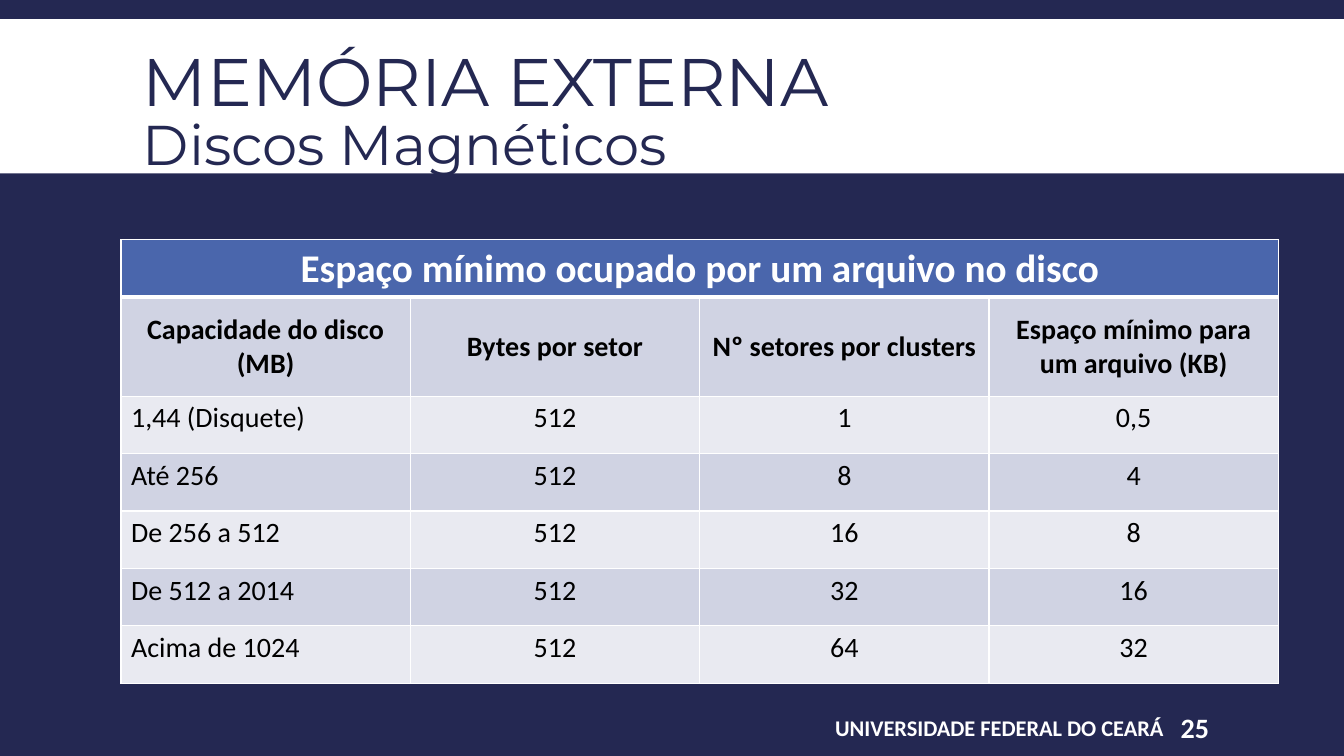
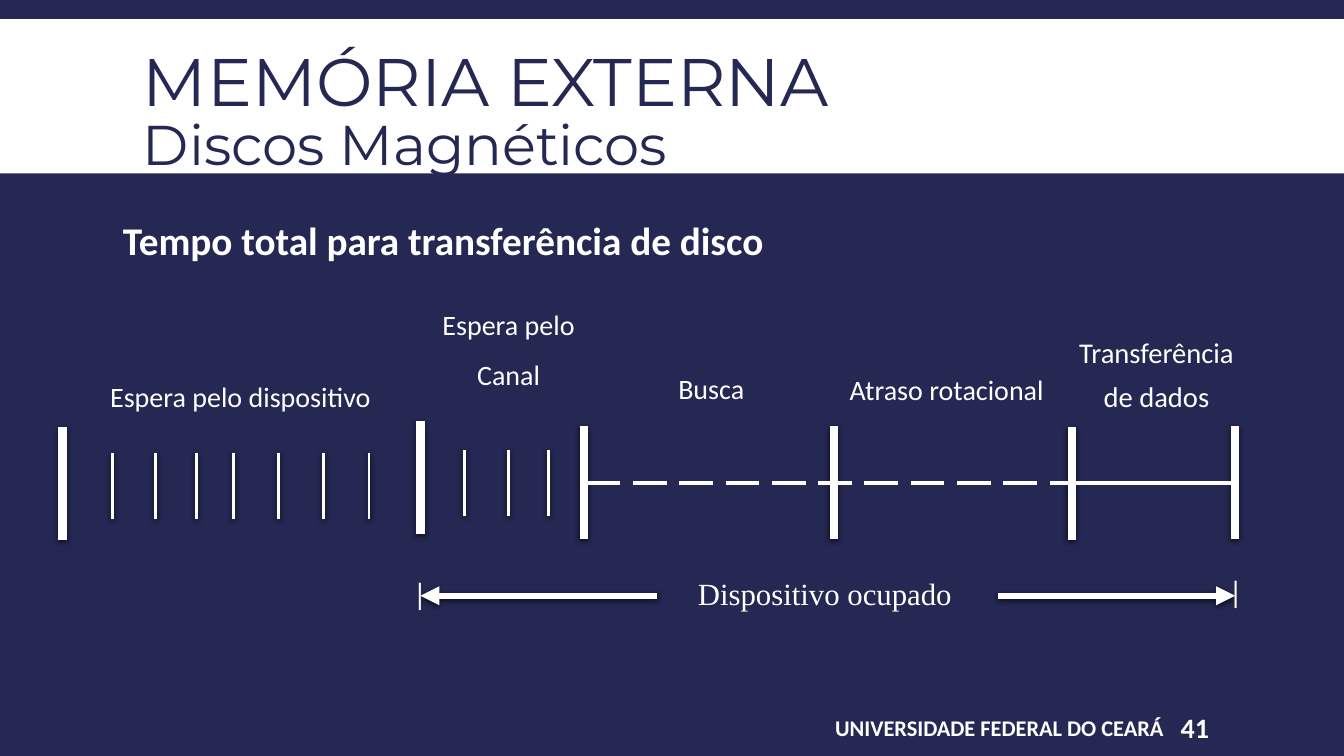
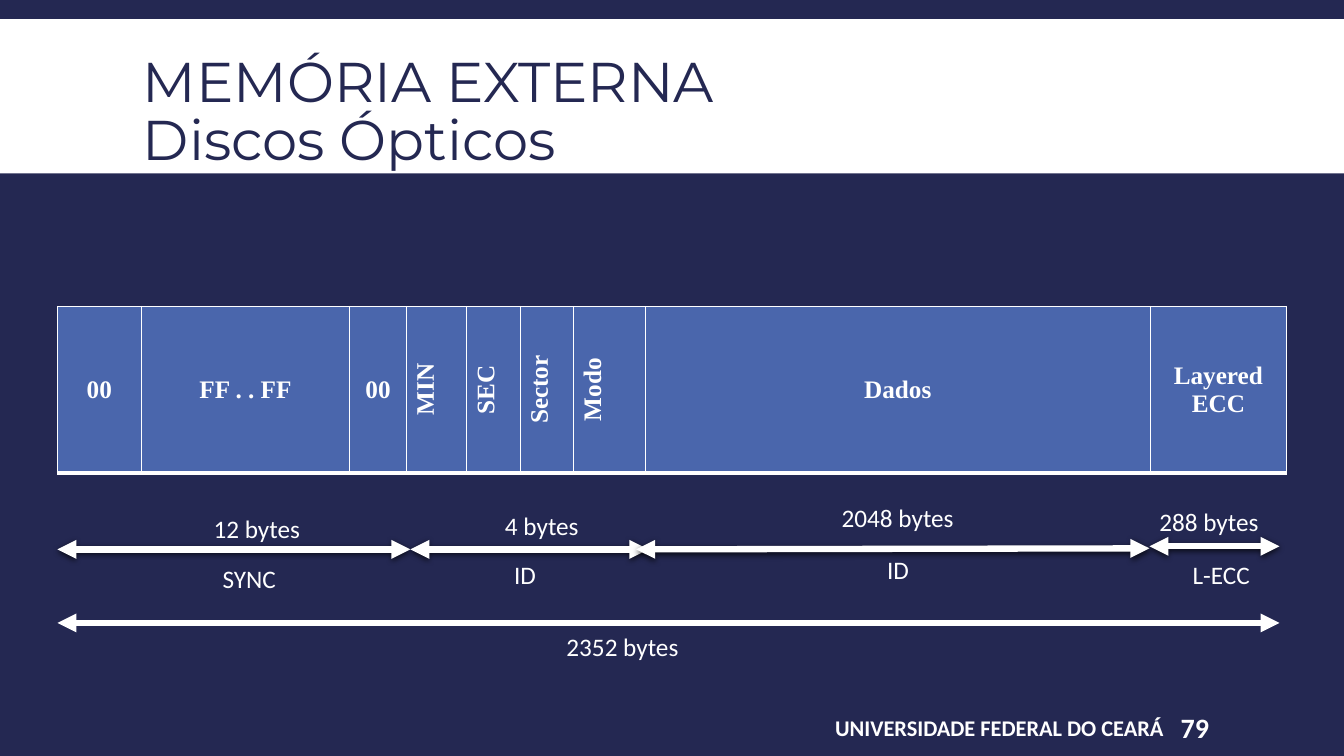
"""Build three slides on external memory: cluster sizes, disk transfer time and optical sector layout."""

from dataclasses import dataclass

import lxml.etree
import pptx
import pptx.dml.color
import pptx.enum.dml
import pptx.enum.shapes
import pptx.enum.text
import pptx.oxml
import pptx.oxml.ns
import pptx.presentation
import pptx.shapes.autoshape
import pptx.slide
import pptx.table
import pptx.text.text
import pptx.util

Inches = pptx.util.Inches
Pt = pptx.util.Pt
RGB = pptx.dml.color.RGBColor
Align = pptx.enum.text.PP_ALIGN
Anchor = pptx.enum.text.MSO_ANCHOR
qn = pptx.oxml.ns.qn


@dataclass(frozen=True)
class Theme:
    """Colours, fonts and type sizes in points."""

    navy: RGB = RGB.from_string("242852")
    white: RGB = RGB.from_string("FFFFFF")
    black: RGB = RGB.from_string("000000")
    blue: RGB = RGB.from_string("4A66AC")
    dark_row: RGB = RGB.from_string("D0D3E3")
    light_row: RGB = RGB.from_string("E9EAF1")
    body_font: str = "Calibri"
    title_font: str = "Montserrat"
    serif_font: str = "Times New Roman"
    title: float = 48
    subtitle: float = 40
    heading: float = 28
    serif_note: float = 22
    body: float = 20
    transfer: float = 20.4
    small: float = 18
    footer: float = 16


THEME = Theme()


@dataclass(frozen=True)
class Type:
    """Character and alignment settings of a paragraph."""

    size: float = THEME.body
    font: str = THEME.body_font
    color: RGB = THEME.white
    bold: bool = False
    align: Align = Align.LEFT


@dataclass(frozen=True)
class Label:
    """A text box, one paragraph per line of text."""

    text: str
    left: float
    top: float
    width: float
    height: float
    style: Type = Type()
    spacing: float = 1.0
    anchor: Anchor = Anchor.TOP
    wrap: bool = True
    inset_left: float = 0.1


@dataclass(frozen=True)
class Stroke:
    """A straight line between two points."""

    start: tuple[float, float]
    end: tuple[float, float]
    width: float
    shadow: bool = True
    dashed: bool = False
    arrows: tuple[str, ...] = ()


@dataclass(frozen=True)
class Edges:
    """Border widths of a cell in points."""

    top: float = 1
    bottom: float = 1


CENTERED = Type(align=Align.CENTER)
SMALL = Type(size=THEME.small)
SHADOW = (
    f'<a:effectLst {pptx.oxml.ns.nsdecls("a")}>'
    '<a:outerShdw blurRad="50800" dist="15240" dir="5400000" rotWithShape="0">'
    f'<a:srgbClr val="{THEME.black}"><a:alpha val="68000"/></a:srgbClr>'
    "</a:outerShdw></a:effectLst>"
)
BOTH_ENDS = ("headEnd", "tailEnd")


def set_type(paragraph: pptx.text.text._Paragraph, style: Type) -> None:
    """Apply a type style to a paragraph."""
    paragraph.alignment = style.align
    paragraph.font.size = Pt(style.size)
    paragraph.font.name = style.font
    paragraph.font.bold = style.bold
    paragraph.font.color.rgb = style.color


def add_label(slide: pptx.slide.Slide, label: Label) -> None:
    """Draw a text box."""
    frame = slide.shapes.add_textbox(
        Inches(label.left), Inches(label.top), Inches(label.width), Inches(label.height)
    ).text_frame
    frame.word_wrap = label.wrap
    if not label.wrap:
        frame.auto_size = pptx.enum.text.MSO_AUTO_SIZE.SHAPE_TO_FIT_TEXT
    frame.vertical_anchor = label.anchor
    frame.margin_left = Inches(label.inset_left)
    frame.text = label.text
    for index, paragraph in enumerate(frame.paragraphs):
        paragraph.line_spacing = label.spacing
        if index:
            paragraph.space_before = Pt(14)
        set_type(paragraph, label.style)


def add_stroke(slide: pptx.slide.Slide, stroke: Stroke) -> None:
    """Draw a line with its arrowheads and shadow."""
    connector = slide.shapes.add_connector(
        pptx.enum.shapes.MSO_CONNECTOR.STRAIGHT,
        *(Inches(value) for value in stroke.start + stroke.end),
    )
    connector.line.color.rgb = THEME.white
    connector.line.width = Pt(stroke.width)
    if stroke.dashed:
        connector.line.dash_style = pptx.enum.dml.MSO_LINE.LONG_DASH
    properties = connector._element.spPr
    outline = properties.find(qn("a:ln"))
    for arrow in stroke.arrows:
        lxml.etree.SubElement(outline, qn(f"a:{arrow}"), type="triangle")
    if stroke.shadow:
        properties.append(pptx.oxml.parse_xml(SHADOW))
    else:
        lxml.etree.SubElement(properties, qn("a:effectLst"))


def add_base(
    deck: pptx.presentation.Presentation, subtitle: str, number: int, title_size: float
) -> pptx.slide.Slide:
    """Add a slide with the title band and footer."""
    slide = deck.slides.add_slide(deck.slide_layouts[6])
    band = slide.shapes.add_shape(
        pptx.enum.shapes.MSO_SHAPE.RECTANGLE,
        0, Inches(0.19), deck.slide_width, Inches(1.53),
    )
    band.shadow.inherit = False
    band.fill.solid()
    band.fill.fore_color.rgb = THEME.white
    band.line.fill.background()

    frame = slide.shapes.add_textbox(
        Inches(1.32), Inches(0.31), Inches(10.7), Inches(1.65)
    ).text_frame
    frame.word_wrap = True
    frame.vertical_anchor = Anchor.MIDDLE
    heading = frame.paragraphs[0]
    heading.line_spacing = 0.85
    set_type(heading, Type(THEME.subtitle, THEME.title_font, THEME.navy))
    topic = heading.add_run()
    topic.text = "MEMÓRIA EXTERNA"
    topic.font.size = Pt(title_size)
    heading.add_line_break()
    subtopic = heading.add_run()
    subtopic.text = subtitle
    subtopic.font.size = Pt(THEME.subtitle)

    add_label(slide, Label(
        "UNIVERSIDADE FEDERAL DO CEARÁ", 6.12, 7.02, 5.52, 0.4,
        Type(THEME.footer, bold=True, align=Align.RIGHT), anchor=Anchor.MIDDLE,
    ))
    add_label(slide, Label(
        str(number), 11.66, 7.02, 1.03, 0.4, Type(bold=True),
        anchor=Anchor.MIDDLE, inset_left=0.05,
    ))
    return slide


def add_grid(
    slide: pptx.slide.Slide, left: float, top: float,
    columns: list[float], rows: list[float],
) -> pptx.table.Table:
    """Add an unbanded table with the given column widths and row heights."""
    table = slide.shapes.add_table(
        len(rows), len(columns), Inches(left), Inches(top),
        Inches(sum(columns)), Inches(sum(rows)),
    ).table
    table.first_row = table.horz_banding = False
    for column, width in zip(table.columns, columns):
        column.width = Inches(width)
    for row, height in zip(table.rows, rows):
        row.height = Inches(height)
    return table


def fill_cell(
    cell: pptx.table._Cell, text: str, style: Type, fill: RGB,
    edges: Edges = Edges(), anchor: Anchor = Anchor.TOP,
) -> None:
    """Write a cell with its fill and borders."""
    cell.text = text
    cell.vertical_anchor = anchor
    set_type(cell.text_frame.paragraphs[0], style)
    properties = cell._tc.get_or_add_tcPr()
    for side, width in {"L": 1, "R": 1, "T": edges.top, "B": edges.bottom}.items():
        border = lxml.etree.SubElement(properties, qn(f"a:ln{side}"), w=str(Pt(width)))
        solid = lxml.etree.SubElement(border, qn("a:solidFill"))
        lxml.etree.SubElement(solid, qn("a:srgbClr"), val=str(THEME.white))
    cell.fill.solid()
    cell.fill.fore_color.rgb = fill


def build_clusters(deck: pptx.presentation.Presentation) -> None:
    """Build the table of minimum file sizes."""
    slide = add_base(deck, "Discos Magnéticos", 25, THEME.title)
    headers = (
        "Capacidade do disco (MB)", "Bytes por setor",
        "Nº setores por clusters", "Espaço mínimo para um arquivo (KB)",
    )
    capacities = (
        ("1,44 (Disquete)", "512", "1", "0,5"),
        ("Até 256", "512", "8", "4"),
        ("De 256 a 512", "512", "16", "8"),
        ("De 512 a 2014", "512", "32", "16"),
        ("Acima de 1024", "512", "64", "32"),
    )
    table = add_grid(slide, 1.2, 2.38, [2.87] * 4, [0.57, 0.98] + [0.57] * 5)
    banner = Type(THEME.heading, bold=True, align=Align.CENTER)
    header = Type(color=THEME.black, bold=True, align=Align.CENTER)
    table.cell(0, 0).merge(table.cell(0, 3))
    for column, name in enumerate(headers):
        caption = "" if column else "Espaço mínimo ocupado por um arquivo no disco"
        fill_cell(table.cell(0, column), caption, banner, THEME.blue, Edges(bottom=3))
        fill_cell(
            table.cell(1, column), name, header, THEME.dark_row, Edges(top=3), Anchor.MIDDLE
        )
    for row, values in enumerate(capacities, start=2):
        fill = THEME.dark_row if row % 2 else THEME.light_row
        for column, value in enumerate(values):
            align = Align.CENTER if column else Align.LEFT
            fill_cell(
                table.cell(row, column), value, Type(color=THEME.black, align=align), fill
            )


def build_transfer(deck: pptx.presentation.Presentation) -> None:
    """Build the timeline of a disk transfer."""
    slide = add_base(deck, "Discos Magnéticos", 41, THEME.title)
    phase_limits = (
        (0.62, 4.24), (4.17, 4.18), (5.79, 4.23), (8.27, 4.23), (10.63, 4.24), (12.25, 4.23),
    )
    device_ticks = (1.12, 1.54, 1.95, 2.32, 2.76, 3.21, 3.66)
    channel_ticks = (4.61, 5.04, 5.44)
    strokes = [Stroke((x, y), (x, y + 1.12), 6) for x, y in phase_limits]
    for ticks, y in ((device_ticks, 4.49), (channel_ticks, 4.46)):
        strokes += [Stroke((x, y), (x, y + 0.66), 2) for x in ticks]
    strokes += [
        Stroke((5.82, 4.79), (10.63, 4.79), 3, shadow=False, dashed=True),
        Stroke((10.63, 4.79), (12.22, 4.79), 3, shadow=False),
        Stroke((6.52, 5.91), (4.17, 5.91), 4.5, arrows=("tailEnd",)),
        Stroke((9.9, 5.91), (12.25, 5.91), 4.5, arrows=("tailEnd",)),
    ]
    for stroke in strokes:
        add_stroke(slide, stroke)

    span_end = Type(THEME.serif_note, align=Align.CENTER)
    busy = Type(THEME.serif_note, THEME.serif_font, align=Align.CENTER)
    transfer = Type(THEME.transfer, align=Align.CENTER)
    labels = (
        Label("Tempo total para transferência de disco", 1.12, 2.1, 6.87, 0.57,
              Type(THEME.heading, bold=True), wrap=False),
        Label("Espera pelo dispositivo", 0.75, 3.75, 3.27, 0.45, CENTERED, 0.9),
        Label("Espera pelo\nCanal", 4.16, 3.04, 1.77, 0.96, CENTERED, 0.9),
        Label("Busca", 6.17, 3.67, 1.77, 0.49, CENTERED, 0.9),
        Label("Atraso rotacional", 8.15, 3.68, 2.48, 0.49, CENTERED, 0.9),
        Label("Transferência\nde dados", 10.48, 3.37, 1.98, 0.83, transfer, 0.7),
        Label("|", 3.96, 5.69, 0.41, 0.43, span_end, 0.9),
        Label("Dispositivo ocupado", 6.67, 5.69, 3.02, 0.43, busy, 0.9),
        Label("|", 12.05, 5.67, 0.41, 0.43, span_end, 0.9),
    )
    for label in labels:
        add_label(slide, label)


def build_sector(deck: pptx.presentation.Presentation) -> None:
    """Build the layout of an optical disc sector."""
    slide = add_base(deck, "Discos Ópticos", 79, THEME.subtitle)
    fields = (
        ("00", 0.83), ("FF . . FF", 2.07), ("00", 0.56), ("MIN", 0.6), ("SEC", 0.53),
        ("Sector", 0.53), ("Modo", 0.71), ("Dados", 5.01), ("Layered ECC", 1.35),
    )
    upright = ("MIN", "SEC", "Sector", "Modo")
    table = add_grid(slide, 0.57, 3.04, [width for _, width in fields], [1.65])
    field_type = Type(THEME.small, THEME.serif_font, bold=True, align=Align.CENTER)
    for column, (name, _) in enumerate(fields):
        cell = table.cell(0, column)
        fill_cell(cell, name, field_type, THEME.blue, Edges(bottom=3), Anchor.MIDDLE)
        if name in upright:
            cell._tc.get_or_add_tcPr().set("vert", "vert270")

    spans = (
        ((0.57, 5.45), (4.07, 5.45)),
        ((4.07, 5.45), (6.43, 5.45)),
        ((6.31, 5.45), (11.4, 5.44)),
        ((11.4, 5.42), (12.69, 5.42)),
    )
    for start, end in spans:
        add_stroke(slide, Stroke(start, end, 4.5, arrows=BOTH_ENDS))
    add_stroke(slide, Stroke((0.57, 6.18), (12.69, 6.18), 4.5, shadow=False, arrows=BOTH_ENDS))

    captions = (
        ("12 bytes", 2.02, 5.04, 1.07), ("SYNC", 2.11, 5.54, 0.82),
        ("4 bytes", 4.91, 5.01, 0.95), ("ID", 5, 5.5, 0.43),
        ("2048 bytes", 8.25, 4.93, 1.34), ("ID", 8.7, 5.45, 0.43),
        ("288 bytes", 11.4, 4.97, 1.21), ("L-ECC", 11.73, 5.5, 0.85),
        ("2352 bytes", 5.52, 6.21, 1.31),
    )
    for text, left, top, width in captions:
        add_label(slide, Label(text, left, top, width, 0.4, SMALL, wrap=False))


def main() -> None:
    """Build and save the presentation."""
    deck = pptx.Presentation()
    deck.slide_width = Inches(13.33)
    deck.slide_height = Inches(7.5)
    backdrop = deck.slide_master.background.fill
    backdrop.solid()
    backdrop.fore_color.rgb = THEME.navy
    build_clusters(deck)
    build_transfer(deck)
    build_sector(deck)
    deck.save("out.pptx")


if __name__ == "__main__":
    main()
